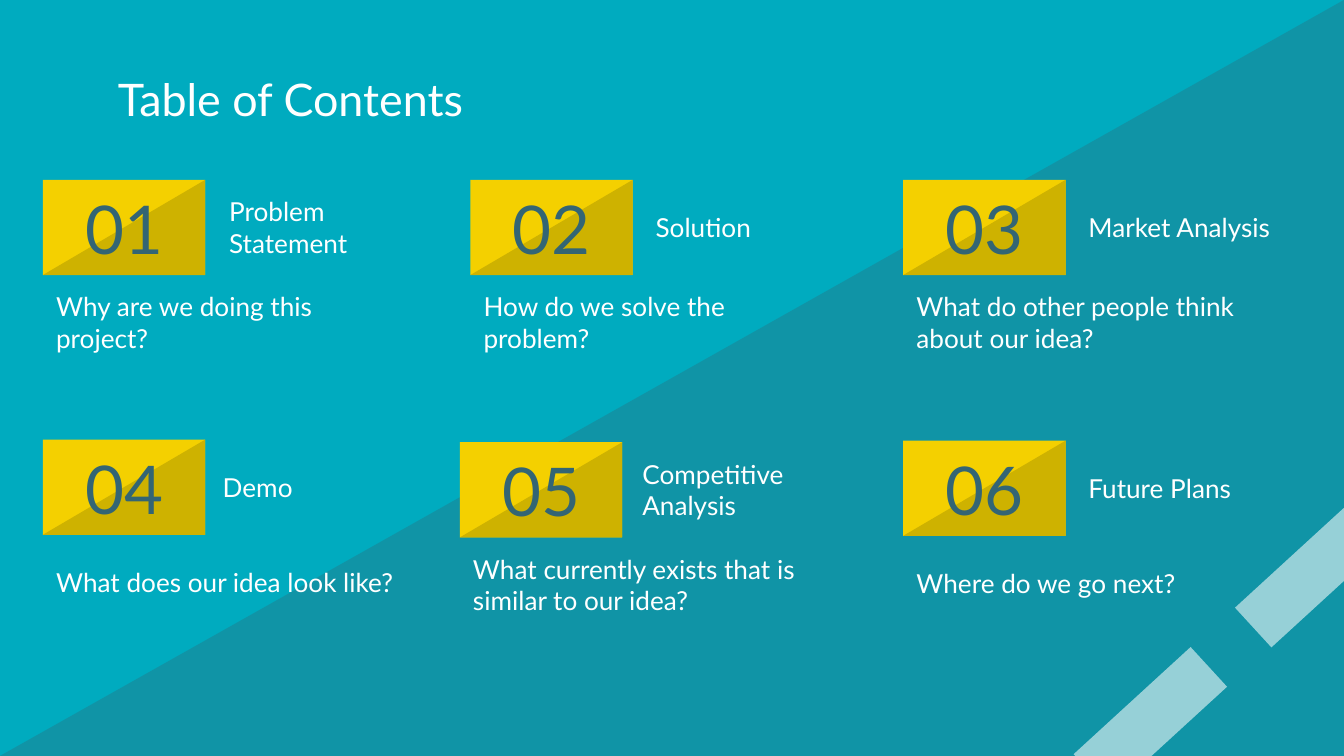
import pptx
import pptx.util
import pptx.dml.color
import pptx.enum.shapes
import pptx.enum.text
from lxml import etree
from pptx.oxml.ns import qn

Cm = pptx.util.Cm
SHAPE = pptx.enum.shapes.MSO_SHAPE
ALIGN = pptx.enum.text.PP_ALIGN

# Content
TITLE = "Table of Contents"
# number, heading, question, left, top, gap from tile to heading (cm)
TOPICS = [
    ("01", "Problem Statement", "Why are we doing this project?", 0.81, 3.4, 0.2),
    ("02", "Solution", "How do we solve the problem?", 8.89, 3.4, 0.18),
    ("03", "Market Analysis", "What do other people think about our idea?", 17.07, 3.4, 0.18),
    ("04", "Demo", "What does our idea look like?", 0.81, 8.31, 0.08),
    ("05", "Competitive Analysis", "What currently exists that is similar to our idea?",
     8.69, 8.36, 0.13),
    ("06", "Future Plans", "Where do we go next?", 17.07, 8.33, 0.18),
]
STRIPES = [(20.24, 13.11), (23.29, 10.34)]

# Style
FONT = "Lato"
TEAL, SLATE, WHITE = "00ABBF", "336574", "FFFFFF"
YELLOW, GOLD = "F4D000", "CEB200"
SLIDE_W, SLIDE_H = 25.4, 14.29
TILE_W, TILE_H = 3.07, 1.8
HEADING_W, QUESTION_W, TEXT_H = 3.94, 7.19, 1.78


def rgb(color):
    return pptx.dml.color.RGBColor.from_string(color)


def add_shape(kind, x, y, w, h, color, opacity=100):
    sp = s.shapes.add_shape(kind, Cm(x), Cm(y), Cm(w), Cm(h))
    sp.shadow.inherit = False
    sp.fill.solid()
    sp.fill.fore_color.rgb = rgb(color)
    sp.line.fill.background()
    if opacity < 100:
        fill_color = sp.fill._xPr.find(qn("a:solidFill"))[0]
        etree.SubElement(fill_color, qn("a:alpha")).set("val", str(opacity * 1000))
    return sp


def add_corner(x, y, w, h, color, opacity=100):
    """Right triangle filling the lower right half of a box."""
    sp = add_shape(SHAPE.RIGHT_TRIANGLE, x, y, w, h, color, opacity)
    sp._element.spPr.find(qn("a:xfrm")).set("flipH", "1")


def add_text(text, x, y, w, h, size, color=WHITE, align=ALIGN.LEFT):
    tf = s.shapes.add_textbox(Cm(x), Cm(y), Cm(w), Cm(h)).text_frame
    tf.word_wrap = True
    tf.vertical_anchor = pptx.enum.text.MSO_ANCHOR.MIDDLE
    tf.margin_left = tf.margin_right = tf.margin_top = tf.margin_bottom = Cm(0.25)
    tf.text = text
    p = tf.paragraphs[0]
    p.alignment = align
    r = p.runs[0]
    r.font.name = FONT
    r.font.size = pptx.util.Pt(size)
    r.font.color.rgb = rgb(color)


prs = pptx.Presentation()
prs.slide_width, prs.slide_height = Cm(SLIDE_W), Cm(SLIDE_H)
s = prs.slides.add_slide(prs.slide_layouts[6])

# Background: darker half and two slanted stripes
s.background.fill.solid()
s.background.fill.fore_color.rgb = rgb(TEAL)
add_corner(0, 0, SLIDE_W, SLIDE_H, SLATE, 32)
for x, y in STRIPES:
    add_shape(SHAPE.RECTANGLE, x, y, 3, 1.02, WHITE, 56).rotation = 317.5

add_text(TITLE, 1.98, 1.07, 21.44, 1.6, 24)

# Topics: numbered tile, heading beside it, question below
for number, heading, question, x, y, gap in TOPICS:
    add_shape(SHAPE.RECTANGLE, x, y, TILE_W, TILE_H, YELLOW)
    add_corner(x, y, TILE_W, TILE_H, GOLD)
    add_text(number, x, y, TILE_W, TILE_H, 36, SLATE, ALIGN.CENTER)
    add_text(heading, x + TILE_W + gap, y, HEADING_W, TEXT_H, 14)
    add_text(question, x, y + TILE_H, QUESTION_W, TEXT_H, 14)

prs.save("out.pptx")
